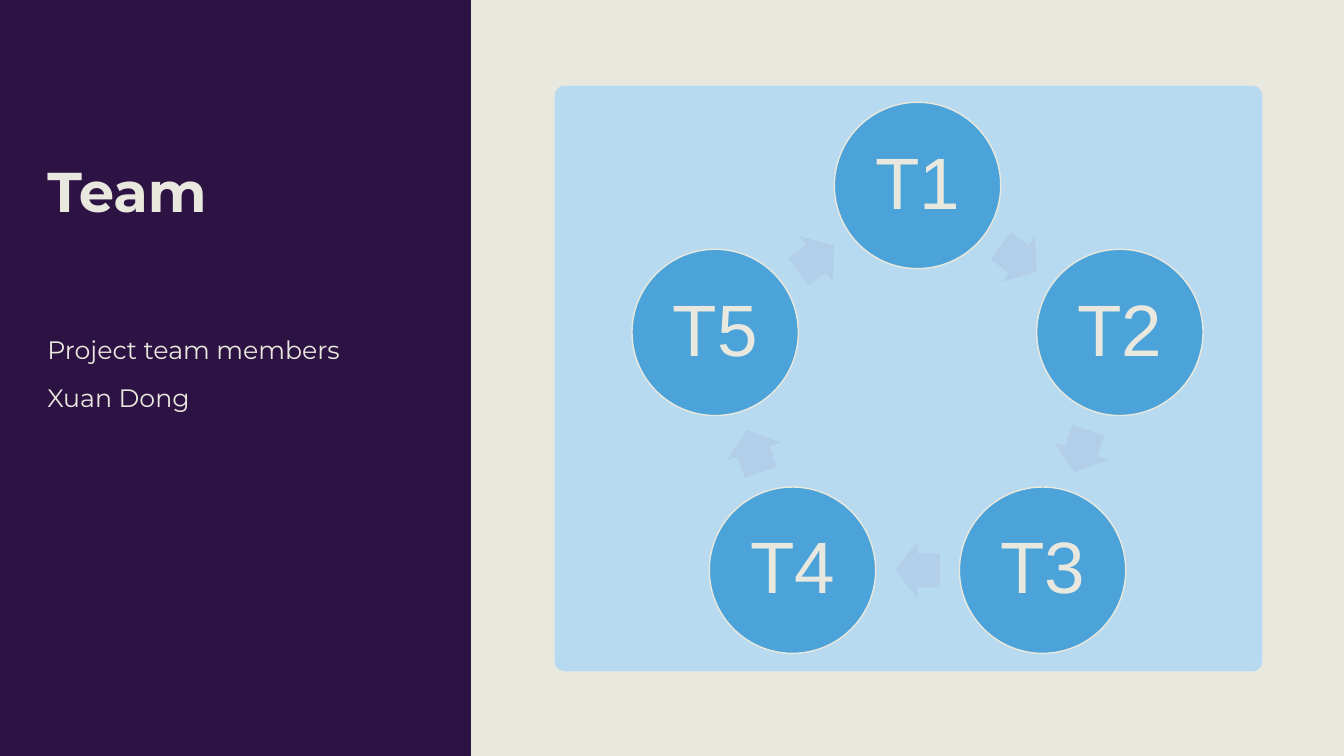
from dataclasses import dataclass
from math import cos, pi, radians, sin

from pptx import Presentation
from pptx.dml.color import RGBColor as Rgb
from pptx.enum.shapes import MSO_SHAPE as Shape
from pptx.enum.text import MSO_ANCHOR as Anchor, PP_ALIGN as Align
from pptx.util import Inches, Pt


@dataclass(frozen=True)
class Theme:
    cream: str = "E9E8DE"
    plum: str = "2C1343"
    sky: str = "B7DAF0"
    blue: str = "4CA3D9"
    pale: str = "B2CEE9"
    head: str = "Montserrat"
    body: str = "Arial"
    title: int = 40
    text: int = 18
    label: int = 52


class Deck:
    """Holds the theme and the slide being drawn."""

    def __init__(self, theme):
        self.theme = theme
        self.file = Presentation()
        self.file.slide_width = Inches(13.33)
        self.file.slide_height = Inches(7.5)
        self.slide = self.file.slides.add_slide(self.file.slide_layouts[6])
        back = self.slide.background.fill
        back.solid()
        back.fore_color.rgb = Rgb.from_string(theme.cream)

    def shape(self, kind, x, y, w, h, fill, adjust=()):
        item = self.slide.shapes.add_shape(
            kind, Inches(x), Inches(y), Inches(w), Inches(h))
        item.shadow.inherit = False
        item.fill.solid()
        item.fill.fore_color.rgb = Rgb.from_string(fill)
        item.line.fill.background()
        for i, value in enumerate(adjust):
            item.adjustments[i] = value
        return item

    def style(self, para, font, size, bold=False):
        for run in para.runs:
            run.font.name = font
            run.font.size = Pt(size)
            run.font.bold = bold
            run.font.color.rgb = Rgb.from_string(self.theme.cream)

    def margin(self, frame, gap):
        frame.margin_left = frame.margin_right = Inches(gap)
        frame.margin_top = frame.margin_bottom = Inches(gap)
        frame.word_wrap = True

    def text(self, x, y, w, h, lines, size, bold=False):
        box = self.slide.shapes.add_textbox(
            Inches(x), Inches(y), Inches(w), Inches(h))
        frame = box.text_frame
        self.margin(frame, 0)
        frame.text = "\n".join(lines)
        for i, para in enumerate(frame.paragraphs):
            para.line_spacing = 1.1
            para.space_before = Pt(10 if i else 0)
            self.style(para, self.theme.head, size, bold)

    def circle(self, x, y, size, label):
        """Draw a labelled circle centred on x, y."""
        item = self.shape(Shape.OVAL, x - size / 2, y - size / 2,
                          size, size, self.theme.blue)
        item.line.color.rgb = Rgb.from_string(self.theme.cream)
        item.line.width = Pt(1)
        frame = item.text_frame
        self.margin(frame, 0.07)
        frame.vertical_anchor = Anchor.MIDDLE
        frame.text = label
        para = frame.paragraphs[0]
        para.alignment = Align.CENTER
        para.line_spacing = 0.9
        self.style(para, self.theme.body, self.theme.label)

    def arrow(self, x, y, w, h, turn):
        """Draw a block arrow centred on x, y."""
        item = self.shape(Shape.RIGHT_ARROW, x - w / 2, y - h / 2,
                          w, h, self.theme.pale, (0.6, 0.5))
        item.rotation = turn

    def cycle(self, x, y, radius, labels):
        """Set circles clockwise from the top, with an arrow after each."""
        step = 360 / len(labels)
        inner = radius * cos(pi / len(labels))
        for i, label in enumerate(labels):
            turn = i * step
            angle = radians(turn)
            self.circle(x + radius * sin(angle), y - radius * cos(angle),
                        1.65, label)
            turn += step / 2
            angle = radians(turn)
            self.arrow(x + inner * sin(angle), y - inner * cos(angle),
                       0.44, 0.56, turn)


def main():
    theme = Theme()
    deck = Deck(theme)
    deck.shape(Shape.RECTANGLE, 0, 0, 4.67, 7.5, theme.plum)
    deck.shape(Shape.ROUNDED_RECTANGLE, 5.5, 0.85, 7.02, 5.81,
               theme.sky, (0.017,))
    deck.text(0.47, 1.49, 3.57, 1.54, ["Team"], theme.title, bold=True)
    deck.text(0.47, 3.29, 3.57, 1.54,
              ["Project team members", "Xuan Dong"], theme.text)
    deck.cycle(9.1, 3.95, 2.11, ["T1", "T2", "T3", "T4", "T5"])
    deck.file.save("out.pptx")


if __name__ == "__main__":
    main()
